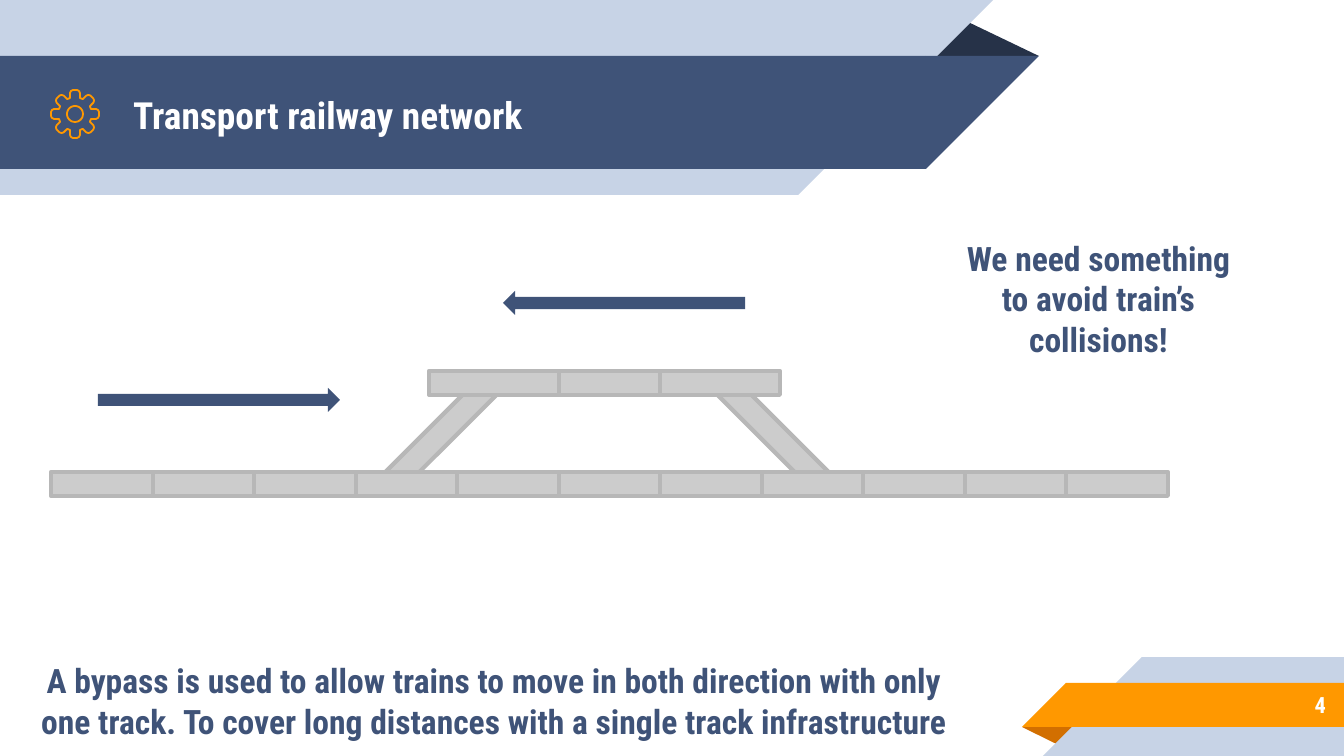
from dataclasses import dataclass
from itertools import pairwise
from math import cos, pi, sin

from pptx import Presentation
from pptx.dml.color import RGBColor
from pptx.enum.shapes import MSO_SHAPE
from pptx.enum.text import MSO_ANCHOR, MSO_AUTO_SIZE, PP_ALIGN
from pptx.util import Pt

EMU_PER_PX = 914400 / 134.4


@dataclass(frozen=True)
class Theme:
    font: str = "Roboto Condensed"
    navy: str = "3F5378"
    dark_navy: str = "263248"
    pale_blue: str = "C7D3E6"
    orange: str = "FF9800"
    dark_orange: str = "D26F00"
    white: str = "FFFFFF"
    track: str = "CCCCCC"
    track_edge: str = "B7B7B7"
    title_size: int = 20
    body_size: int = 18
    number_size: int = 12
    track_line: float = 2.25
    icon_line: float = 0.96


THEME = Theme()


def px(length):
    return round(length * EMU_PER_PX)


def style(shape, fill=None, line=None, line_width=1):
    shape.shadow.inherit = False
    if fill:
        shape.fill.solid()
        shape.fill.fore_color.rgb = RGBColor.from_string(fill)
    else:
        shape.fill.background()
    if line:
        shape.line.color.rgb = RGBColor.from_string(line)
        shape.line.width = Pt(line_width)
    else:
        shape.line.fill.background()


def add_block(slide, kind, box, fill, rotation=0, adjustment=None, **outline):
    shape = slide.shapes.add_shape(kind, *map(px, box))
    shape.rotation = rotation
    if adjustment is not None:
        shape.adjustments[0] = adjustment
    style(shape, fill, **outline)
    return shape


def write_text(shape, text, size=THEME.body_size, color=THEME.navy, align=PP_ALIGN.CENTER):
    frame = shape.text_frame
    frame.word_wrap = True
    frame.auto_size = MSO_AUTO_SIZE.NONE
    frame.vertical_anchor = MSO_ANCHOR.MIDDLE
    frame.margin_left = frame.margin_right = px(13)
    frame.margin_top = frame.margin_bottom = px(13)
    frame.text = text
    paragraph = frame.paragraphs[0]
    paragraph.alignment = align
    font = paragraph.font
    font.name, font.size, font.bold = THEME.font, Pt(size), True
    font.color.rgb = RGBColor.from_string(color)


def add_text(slide, box, text, **text_format):
    write_text(slide.shapes.add_textbox(*map(px, box)), text, **text_format)


def add_ribbon(slide, box, fill, points_right):
    """A band with one end cut at 45 degrees; the box covers its straight part."""
    left, top, width, height = box
    tip_left = left + width if points_right else left - height
    add_block(slide, MSO_SHAPE.RECTANGLE, box, fill)
    add_block(slide, MSO_SHAPE.RIGHT_TRIANGLE, (tip_left, top, height, height), fill,
              rotation=90 if points_right else 270)


def add_gear(slide, left, top, size):
    center_x, center_y = left + size / 2, top + size / 2
    half_tooth = [(2, 24), (4, 23), (5, 21), (5, 16)]
    tooth = [(-x, radius) for x, radius in reversed(half_tooth)] + half_tooth
    rim = []
    for index in range(8):
        angle = index * pi / 4
        rim += [(x * cos(angle) + radius * sin(angle), x * sin(angle) - radius * cos(angle))
                for x, radius in tooth]
    hub = [(8 * cos(step * pi / 16), 8 * sin(step * pi / 16)) for step in range(32)]
    rim, hub = ([(px(center_x + x), px(center_y + y)) for x, y in outline]
                for outline in (rim, hub))
    builder = slide.shapes.build_freeform(*rim[0], scale=1.0)
    builder.add_line_segments(rim[1:], close=True)
    builder.move_to(*hub[0])
    builder.add_line_segments(hub[1:], close=True)
    style(builder.convert_to_shape(), line=THEME.orange, line_width=THEME.icon_line)


def add_header(slide, left, top, title_text):
    add_block(slide, MSO_SHAPE.ISOSCELES_TRIANGLE, (left + 925, top + 19, 114, 37),
              THEME.dark_navy, adjustment=0.324)
    add_ribbon(slide, (left, top, 798, 195), THEME.pale_blue, points_right=True)
    add_ribbon(slide, (left, top + 56, 926, 113), THEME.navy, points_right=True)
    add_gear(slide, left + 51, top + 90, 48)

    # The title goes in front of the ribbons
    title = slide.shapes.title
    title.left, title.top, title.width, title.height = map(px, (left + 120, top + 58, 808, 113))
    write_text(title, title_text, size=THEME.title_size, color=THEME.white, align=PP_ALIGN.LEFT)
    title.element.getparent().append(title.element)


def add_footer(slide, left, top, number):
    add_block(slide, MSO_SHAPE.ISOSCELES_TRIANGLE, (left, top + 70, 57, 19),
              THEME.dark_orange, rotation=180, adjustment=0.324)
    add_ribbon(slide, (left + 120, top, 202, 99), THEME.pale_blue, points_right=False)
    add_ribbon(slide, (left + 44, top + 26, 278, 44), THEME.orange, points_right=False)
    add_text(slide, (left + 98, top + 24, 219, 47), number,
             size=THEME.number_size, color=THEME.white, align=PP_ALIGN.RIGHT)


def add_railway(slide, left, top):
    rail = 24

    def add_rail(x, y, width, rotation=0):
        add_block(slide, MSO_SHAPE.RECTANGLE, (left + x, top + y, width, rail), THEME.track,
                  rotation=rotation, line=THEME.track_edge, line_width=THEME.track_line)

    # Ramps between the main line and the bypass
    add_rail(647, 128, 145, rotation=45)
    add_rail(320, 128, 145, rotation=315)

    # Main line of equal sections, then the bypass
    main_line = [round(index * 1117 / 11) for index in range(12)]
    bypass = [378, 508, 609, 729]
    for y, edges in ((181, main_line), (80, bypass)):
        for start, end in pairwise(edges):
            add_rail(start, y, end - start)

    # Directions of travel
    for x, y, rotation in ((47, 97, 0), (452, 0, 180)):
        add_block(slide, MSO_SHAPE.RIGHT_ARROW, (left + x, top + y, 242, rail),
                  THEME.navy, rotation=rotation)


def main():
    presentation = Presentation()
    presentation.slide_width, presentation.slide_height = px(1344), px(756)
    slide = presentation.slides.add_slide(presentation.slide_layouts[5])

    add_footer(slide, 1022, 657, "4")
    add_header(slide, 0, 0, "Transport railway network")
    add_text(slide, (946, 242, 305, 113), "We need something to avoid train’s collisions!")
    add_text(slide, (8, 644, 972, 113),
             "A bypass is used to allow trains to move in both direction with only one track. "
             "To cover long distances with a single track infrastructure")
    add_railway(slide, 51, 291)

    presentation.save("out.pptx")


if __name__ == "__main__":
    main()
